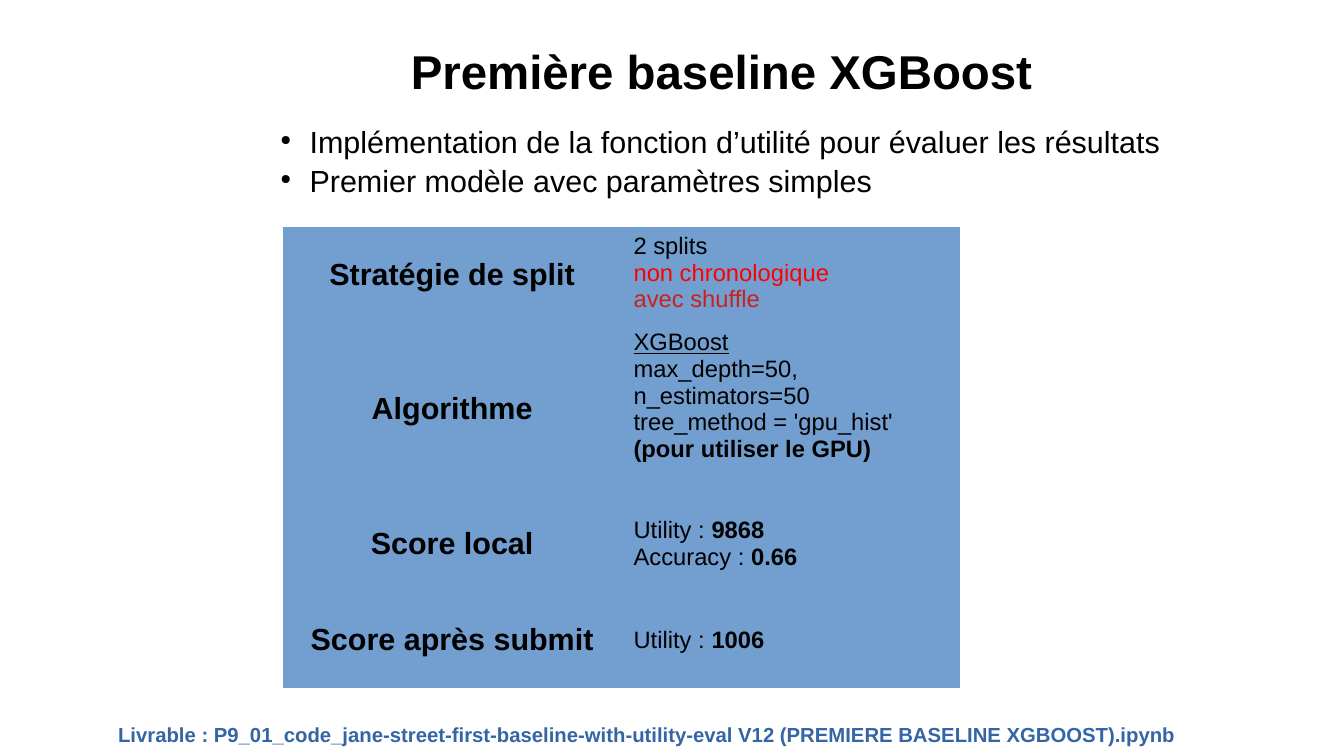
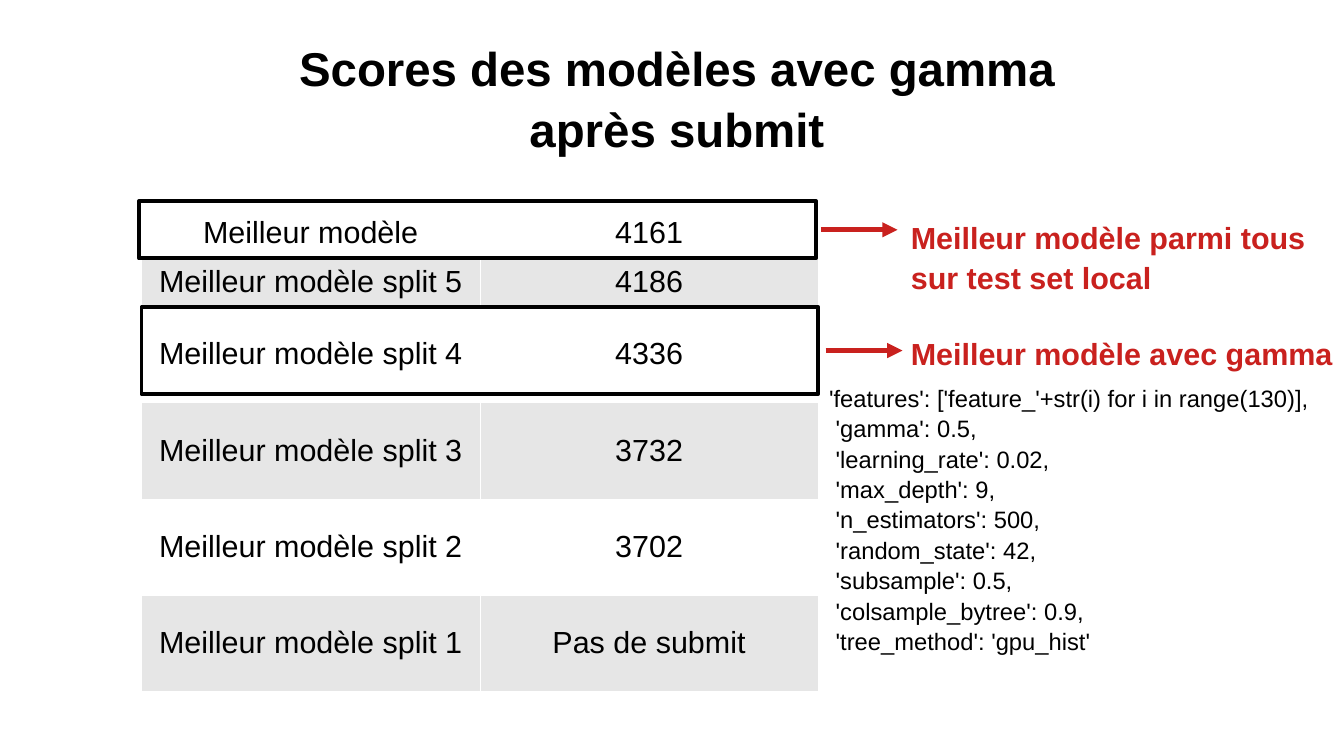
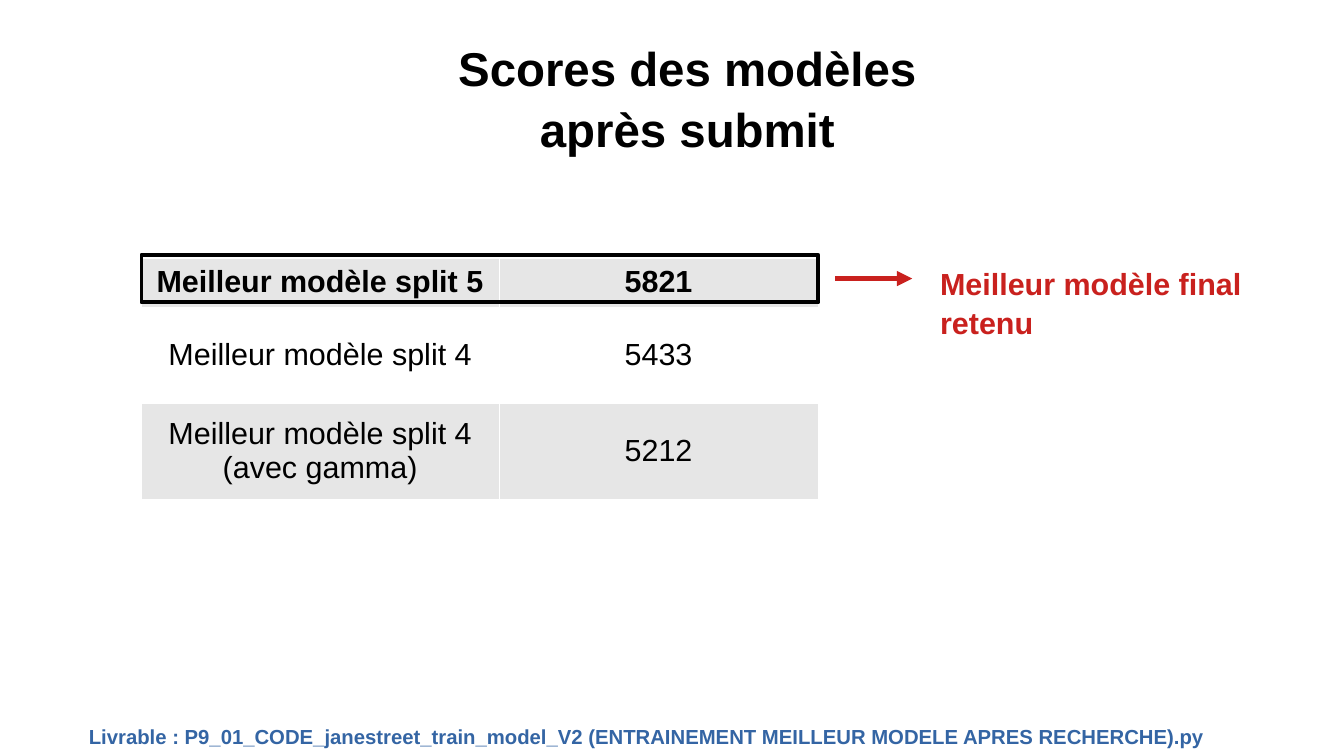
from dataclasses import dataclass
from typing import Optional

from lxml.etree import SubElement
from pptx import Presentation
from pptx.dml.color import RGBColor
from pptx.enum.shapes import MSO_CONNECTOR, MSO_SHAPE
from pptx.enum.text import MSO_ANCHOR, MSO_AUTO_SIZE, PP_ALIGN
from pptx.oxml.ns import qn
from pptx.util import Inches, Pt

BLACK = RGBColor(0x00, 0x00, 0x00)
WHITE = RGBColor(0xFF, 0xFF, 0xFF)
GREY = RGBColor(0xE6, 0xE6, 0xE6)
BLUE = RGBColor(0x72, 0x9F, 0xCF)
DARK_BLUE = RGBColor(0x34, 0x65, 0xA4)
RED = RGBColor(0xC9, 0x21, 0x1E)
BRIGHT_RED = RGBColor(0xFF, 0x00, 0x00)

FONT = "Arial"
LINE_SPACING = 1.07
PLAIN_TABLE_STYLE = "{2D5ABB26-0587-4C30-8999-92F81FD0307C}"
SHORT_ROW, TALL_ROW = 0.4, 0.79
ARROW_LENGTH = 0.63


@dataclass
class Span:
    """A piece of a paragraph with its own look."""
    text: str
    bold: Optional[bool] = None
    underline: Optional[bool] = None
    color: Optional[RGBColor] = None


def write_text(frame, paragraphs, size, color=BLACK, bold=False,
               align=PP_ALIGN.LEFT, spacing=None, bullet=False):
    """Fill a frame; each paragraph is a string or a list of Spans."""
    for index, content in enumerate(paragraphs):
        paragraph = frame.paragraphs[0] if index == 0 else frame.add_paragraph()
        if bullet:
            add_bullet(paragraph)
        paragraph.alignment = align
        if spacing:
            paragraph.line_spacing = spacing
        font = paragraph.font
        font.name, font.size, font.bold = FONT, Pt(size), bold
        font.color.rgb = color
        spans = [Span(content)] if isinstance(content, str) else content
        for span in spans:
            run = paragraph.add_run()
            run.text = span.text
            if span.bold is not None:
                run.font.bold = span.bold
            if span.underline is not None:
                run.font.underline = span.underline
            if span.color is not None:
                run.font.color.rgb = span.color


def add_bullet(paragraph):
    properties = paragraph._p.get_or_add_pPr()
    properties.set("marL", str(Inches(0.24)))
    properties.set("indent", str(-Inches(0.24)))
    SubElement(properties, qn("a:buSzPct")).set("val", "45000")
    SubElement(properties, qn("a:buChar")).set("char", "●")


def set_frame(frame, wrap=True):
    frame.word_wrap = wrap
    frame.auto_size = MSO_AUTO_SIZE.NONE
    frame.vertical_anchor = MSO_ANCHOR.TOP
    frame.margin_left = frame.margin_right = Inches(0.1)
    frame.margin_top = frame.margin_bottom = Inches(0.05)


def add_text(slide, box, paragraphs, size, **style):
    shape = slide.shapes.add_textbox(*map(Inches, box))
    set_frame(shape.text_frame)
    write_text(shape.text_frame, paragraphs, size, spacing=LINE_SPACING, **style)
    return shape.text_frame


def add_titled_slide(presentation, box, lines):
    slide = presentation.slides.add_slide(presentation.slide_layouts[5])
    title = slide.shapes.title
    title.left, title.top, title.width, title.height = map(Inches, box)
    set_frame(title.text_frame, wrap=False)
    write_text(title.text_frame, lines, 28, bold=True,
               align=PP_ALIGN.CENTER, spacing=LINE_SPACING)
    return slide


def add_deliverable(slide, left, top, width, file_name):
    add_text(slide, (left, top, width, 0.29), [f"Livrable : {file_name}"], 12,
             color=DARK_BLUE, bold=True)


def add_plain_table(slide, left, top, columns, rows):
    """Add an unstyled table with the given column widths and row heights."""
    frame = slide.shapes.add_table(
        len(rows), len(columns), Inches(left), Inches(top),
        Inches(sum(columns)), Inches(sum(rows)))
    table = frame.table
    table.first_row = table.horz_banding = False
    table._tbl.tblPr.find(qn("a:tableStyleId")).text = PLAIN_TABLE_STYLE
    for column, width in zip(table.columns, columns):
        column.width = Inches(width)
    for row, height in zip(table.rows, rows):
        row.height = Inches(height)
    return table


def add_cell_borders(cell, color):
    properties = cell._tc.get_or_add_tcPr()
    for position, side in enumerate(("a:lnL", "a:lnR", "a:lnT", "a:lnB")):
        line = properties.makeelement(qn(side), {"w": str(Pt(0.06))})
        fill = SubElement(line, qn("a:solidFill"))
        SubElement(fill, qn("a:srgbClr")).set("val", str(color))
        properties.insert(position, line)


def fill_cell(cell, color):
    cell.fill.solid()
    cell.fill.fore_color.rgb = color
    cell.vertical_anchor = MSO_ANCHOR.MIDDLE


def add_experiment_table(slide, left, top, entries):
    """Rows of (height, heading, detail paragraphs) on blue."""
    table = add_plain_table(slide, left, top, [2.775, 2.775],
                            [height for height, _, _ in entries])
    for index, (_, heading, details) in enumerate(entries):
        heading_cell, detail_cell = table.cell(index, 0), table.cell(index, 1)
        fill_cell(heading_cell, BLUE)
        fill_cell(detail_cell, BLUE)
        write_text(heading_cell.text_frame, [heading], 18, bold=True,
                   align=PP_ALIGN.CENTER)
        write_text(detail_cell.text_frame, details, 14)
    return table


def add_score_table(slide, left, top, columns, scores, bold_row=None):
    """Two short rows, then tall ones, shaded white and grey in turn."""
    heights = [SHORT_ROW if index < 2 else TALL_ROW for index in range(len(scores))]
    table = add_plain_table(slide, left, top, columns, heights)
    for row, texts in enumerate(scores):
        for column, text in enumerate(texts):
            cell = table.cell(row, column)
            fill_cell(cell, GREY if row % 2 else WHITE)
            add_cell_borders(cell, WHITE)
            if text:
                write_text(cell.text_frame, [text], 18, bold=row == bold_row,
                           align=PP_ALIGN.CENTER)


def add_highlight(slide, box, arrow_gap, label_left, label_top, label):
    """Frame a table row and point an arrow from it to a red label."""
    left, top, width, height = box
    outline = slide.shapes.add_shape(MSO_SHAPE.RECTANGLE, *map(Inches, box))
    outline.shadow.inherit = False
    outline.fill.background()
    outline.line.color.rgb = BLACK
    outline.line.width = Pt(2.3)

    start, middle = left + width + arrow_gap, top + height / 2
    arrow = slide.shapes.add_connector(
        MSO_CONNECTOR.STRAIGHT, Inches(start), Inches(middle),
        Inches(start + ARROW_LENGTH), Inches(middle))
    arrow.line.color.rgb = RED
    arrow.line.width = Pt(3)
    SubElement(arrow.line._get_or_add_ln(), qn("a:tailEnd")).set("type", "triangle")
    SubElement(arrow._element.spPr, qn("a:effectLst"))

    label_box = (label_left, label_top, 11.02 - label_left, 0.1 + 0.28 * len(label))
    frame = add_text(slide, label_box, label, 18, color=RED, bold=True)
    frame.margin_right = 0


def build_baseline_slide(presentation):
    slide = add_titled_slide(presentation, (2.76, 0.26, 6.31, 0.53),
                             ["Première baseline XGBoost"])
    add_text(slide, (2.2, 0.94, 8.8, 0.66), [
        "Implémentation de la fonction d’utilité pour évaluer les résultats",
        "Premier modèle avec paramètres simples",
    ], 18, bullet=True)
    table = add_experiment_table(slide, 2.32, 1.86, [
        (0.79, "Stratégie de split", [
            "2 splits",
            [Span("non chronologique", color=BRIGHT_RED)],
            [Span("avec shuffle", color=RED)]]),
        (1.41, "Algorithme", [
            [Span("XGBoost", underline=True)],
            "max_depth=50, n_estimators=50",
            [Span("tree_method = 'gpu_hist' "),
             Span("(pour utiliser le GPU)", bold=True)]]),
        (0.79, "Score local", [
            [Span("Utility : "), Span("9868", bold=True)],
            [Span("Accuracy : "), Span("0.66", bold=True)]]),
        (0.79, "Score après submit", [
            [Span("Utility : "), Span("1006", bold=True)]]),
    ])
    table.cell(0, 1).vertical_anchor = MSO_ANCHOR.TOP
    table.cell(1, 1).margin_bottom = Inches(0.27)
    add_deliverable(slide, 0.87, 5.86, 9.13,
                    "P9_01_code_jane-street-first-baseline-with-utility-eval V12 "
                    "(PREMIERE BASELINE XGBOOST).ipynb")


def build_gamma_slide(presentation):
    slide = add_titled_slide(presentation, (2.35, 0.24, 6.4, 0.97),
                             ["Scores des modèles avec gamma", "après submit"])
    add_score_table(slide, 1.16, 1.71, [2.775, 2.775], [
        ("Meilleur modèle", "4161"),
        ("Meilleur modèle split 5", "4186"),
        ("Meilleur modèle split 4", "4336"),
        ("Meilleur modèle split 3", "3732"),
        ("Meilleur modèle split 2", "3702"),
        ("Meilleur modèle split 1", "Pas de submit"),
    ])
    add_highlight(slide, (1.14, 1.65, 5.55, 0.47), 0.04, 7.37, 1.73,
                  ["Meilleur modèle parmi tous", "sur test set local"])
    add_highlight(slide, (1.16, 2.52, 5.55, 0.71), 0.06, 7.37, 2.68,
                  ["Meilleur modèle avec gamma"])
    add_text(slide, (6.7, 3.08, 4.32, 2.1), [
        "'features': ['feature_'+str(i) for i in range(130)],",
        " 'gamma': 0.5,",
        " 'learning_rate': 0.02,",
        " 'max_depth': 9,",
        " 'n_estimators': 500,",
        " 'random_state': 42,",
        " 'subsample': 0.5,",
        " 'colsample_bytree': 0.9,",
        " 'tree_method': 'gpu_hist'",
    ], 14)


def build_final_slide(presentation):
    slide = add_titled_slide(presentation, (3.54, 0.24, 4.19, 0.97),
                             ["Scores des modèles", "après submit"])
    add_score_table(slide, 1.16, 1.71, [2.93, 2.62], [
        ("", ""),
        ("Meilleur modèle split 5", "5821"),
        ("Meilleur modèle split 4", "5433"),
        ("Meilleur modèle split 4 (avec gamma)", "5212"),
    ], bold_row=1)
    add_highlight(slide, (1.16, 2.09, 5.55, 0.39), 0.14, 7.61, 2.1,
                  ["Meilleur modèle final", "retenu"])
    add_deliverable(slide, 0.63, 5.88, 9.92,
                    "P9_01_CODE_janestreet_train_model_V2 "
                    "(ENTRAINEMENT MEILLEUR MODELE APRES RECHERCHE).py")


def main():
    presentation = Presentation()
    presentation.slide_width = Inches(11.02)
    presentation.slide_height = Inches(6.2)
    build_baseline_slide(presentation)
    build_gamma_slide(presentation)
    build_final_slide(presentation)
    presentation.save("out.pptx")


if __name__ == "__main__":
    main()
